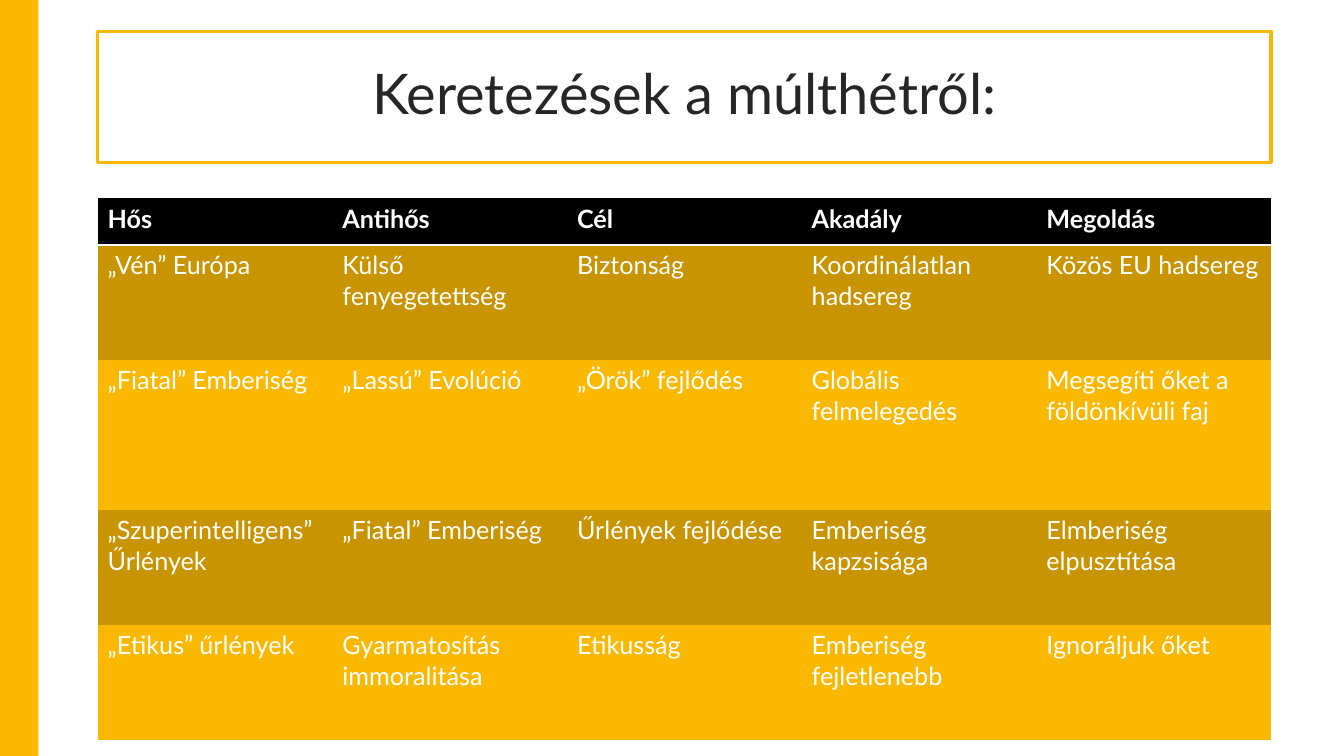
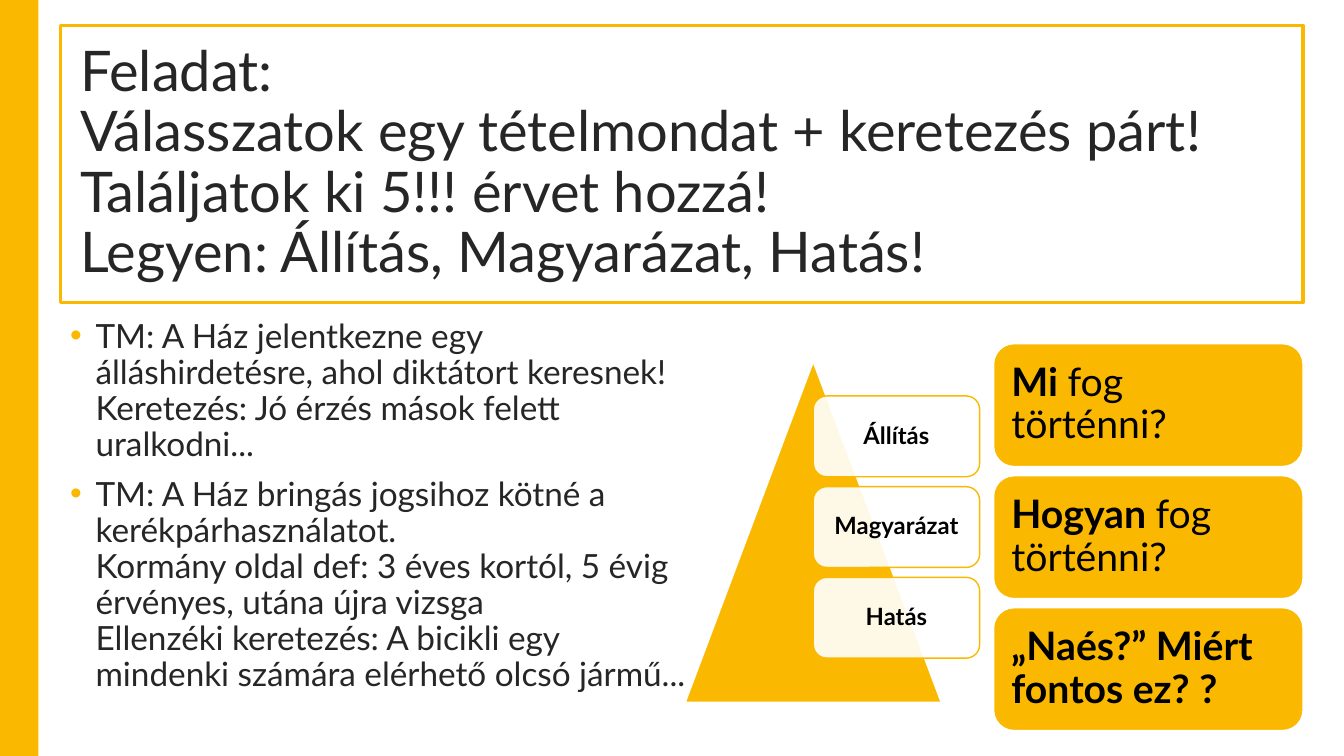
"""Build two debate-class slides: a framing table and an argument exercise."""
import pptx
import pptx.dml.color
import pptx.enum.shapes
import pptx.enum.text
import pptx.oxml
import pptx.oxml.ns
import pptx.util
from lxml import etree

Cm = pptx.util.Cm
Pt = pptx.util.Pt
ALIGN = pptx.enum.text.PP_ALIGN
ANCHOR = pptx.enum.text.MSO_ANCHOR
SHAPE = pptx.enum.shapes.MSO_SHAPE

GOLD, DARK_GOLD, INK = "FAB900", "C89400", "262626"
BLACK, WHITE = "000000", "FFFFFF"
FONT = "Lato"
PLAIN_TABLE_STYLE = "{2D5ABB26-0587-4C30-8999-92F81FD0307C}"

FRAMINGS = [
    ["Hős", "Antihős", "Cél", "Akadály", "Megoldás"],
    ["„Vén” Európa", "Külső fenyegetettség", "Biztonság",
     "Koordinálatlan hadsereg", "Közös EU hadsereg"],
    ["„Fiatal” Emberiség", "„Lassú” Evolúció", "„Örök” fejlődés",
     "Globális felmelegedés", "Megsegíti őket a földönkívüli faj"],
    ["„Szuperintelligens” Űrlények", "„Fiatal” Emberiség", "Űrlények fejlődése",
     "Emberiség kapzsisága", "Elmberiség elpusztítása"],
    ["„Etikus” űrlények", "Gyarmatosítás immoralitása", "Etikusság",
     "Emberiség fejletlenebb", "Ignoráljuk őket"],
]
ROW_HEIGHTS = [1.17, 2.9, 3.78, 2.9, 2.9]

TASK = ("Feladat: \nVálasszatok egy tételmondat + keretezés párt! "
        "Találjatok ki 5!!! érvet hozzá! \nLegyen: Állítás, Magyarázat, Hatás!")
MOTIONS = [
    "TM: A Ház jelentkezne egy álláshirdetésre, ahol diktátort keresnek! \n"
    "Keretezés: Jó érzés mások felett uralkodni...",
    "TM: A Ház bringás jogsihoz kötné a kerékpárhasználatot. \n"
    "Kormány oldal def: 3 éves kortól, 5 évig érvényes, utána újra vizsga\n"
    "Ellenzéki keretezés: A bicikli egy mindenki számára elérhető olcsó jármű...",
]
ARGUMENT_STEPS = ["Állítás", "Magyarázat", "Hatás"]
QUESTIONS = [("Mi ", "fog történni?"), ("Hogyan ", "fog történni?"),
             ("„Naés?” Miért fontos ez? ?", "")]


def rgb(hex_code):
    """Return the colour for a hex string."""
    return pptx.dml.color.RGBColor.from_string(hex_code)


def add_xml(parent, markup, index=None):
    """Insert a DrawingML fragment into parent."""
    tag, rest = markup.split(" ", 1)
    element = pptx.oxml.parse_xml(f"<{tag} {pptx.oxml.ns.nsdecls('a')} {rest}")
    parent.insert(len(parent) if index is None else index, element)


def place(part, box):
    """Move a part to a box of left, top, width and height in cm."""
    part.left, part.top, part.width, part.height = map(Cm, box)


def paint(part, fill=None, line=None, width=1):
    """Set the fill and outline of a part."""
    if fill:
        part.fill.solid()
        part.fill.fore_color.rgb = rgb(fill)
    if line:
        part.line.color.rgb = rgb(line)
        part.line.width = Pt(width)
    else:
        part.line.fill.background()


def style_font(font, size, color, bold=False):
    """Apply the deck font with a size, colour and weight."""
    font.name, font.size, font.bold = FONT, Pt(size), bold
    font.color.rgb = rgb(color)


def set_frame(frame, inset, anchor=ANCHOR.MIDDLE):
    """Wrap a text frame with equal insets and no autofit."""
    frame.word_wrap = True
    frame.auto_size = pptx.enum.text.MSO_AUTO_SIZE.NONE
    frame.vertical_anchor = anchor
    frame.margin_left = frame.margin_right = Cm(inset)
    frame.margin_top = frame.margin_bottom = Cm(inset)


def add_preset(slide, kind, box, fill, line=None):
    """Add a painted preset shape without shadow."""
    shape = slide.shapes.add_shape(kind, *map(Cm, box))
    shape.shadow.inherit = False
    paint(shape, fill, line)
    return shape


def stack(box, count, gap):
    """Split a box into equal boxes, one below another."""
    left, top, width, height = box
    part = (height - gap * (count - 1)) / count
    return [(left, top + i * (part + gap), width, part) for i in range(count)]


def add_master_band(slide):
    """Put the gold side band on the slide master."""
    band = add_preset(slide, SHAPE.RECTANGLE, (-0.05, 0, 1.02, 19.1), GOLD)
    slide.slide_layout.slide_master.shapes.element.insert(2, band.element)


def add_title(slide, box, text, align):
    """Fill the title placeholder and frame it in gold."""
    title = slide.shapes.title
    place(title, box)
    paint(title, line=GOLD, width=2.5)
    set_frame(title.text_frame, 0.5)
    paragraph = title.text_frame.paragraphs[0]
    paragraph.text = text
    paragraph.alignment = align
    paragraph.line_spacing = 0.9
    style_font(paragraph.font, 40, INK)


def add_framing_table(slide, box):
    """Add the table of framings with alternating gold rows."""
    frame = slide.shapes.add_table(len(FRAMINGS), len(FRAMINGS[0]), *map(Cm, box))
    table = frame.table
    style = table._tbl.tblPr.find(pptx.oxml.ns.qn("a:tableStyleId"))
    style.text = PLAIN_TABLE_STYLE
    for i, (row, height) in enumerate(zip(FRAMINGS, ROW_HEIGHTS)):
        table.rows[i].height = Cm(height)
        fill = BLACK if i == 0 else (GOLD, DARK_GOLD)[i % 2]
        for j, text in enumerate(row):
            cell = table.cell(i, j)
            cell.fill.solid()
            cell.fill.fore_color.rgb = rgb(fill)
            paragraph = cell.text_frame.paragraphs[0]
            paragraph.text = text
            style_font(paragraph.font, 18, WHITE, bold=i == 0)
            if i == 0:
                add_xml(cell._tc.tcPr, f'a:lnB w="{Pt(2)}"><a:solidFill>'
                        f'<a:srgbClr val="{WHITE}"/></a:solidFill></a:lnB>', 0)


def add_motions(slide, box):
    """Fill the body placeholder with the bulleted motions."""
    body = slide.placeholders[1]
    place(body, box)
    frame = body.text_frame
    set_frame(frame, 0.25, ANCHOR.TOP)
    frame.margin_top = frame.margin_bottom = Cm(0.13)
    for i, motion in enumerate(MOTIONS):
        paragraph = frame.add_paragraph() if i else frame.paragraphs[0]
        paragraph.text = motion
        paragraph.line_spacing = 0.9
        paragraph.space_before = Pt(10)
        properties = paragraph._p.get_or_add_pPr()
        properties.set("marL", str(Cm(0.64)))
        properties.set("indent", str(-Cm(0.64)))
        add_xml(properties, f'a:buClr ><a:srgbClr val="{GOLD}"/></a:buClr>')
        add_xml(properties, 'a:buFont typeface="Arial"/>')
        add_xml(properties, 'a:buChar char="•"/>')
        style_font(paragraph.font, 23.8, INK)


def add_card(slide, box, colors, inset, align, size, bold_text, plain_text=""):
    """Add a rounded card whose text starts bold and may end plain."""
    card = add_preset(slide, SHAPE.ROUNDED_RECTANGLE, box, *colors)
    set_frame(card.text_frame, inset)
    paragraph = card.text_frame.paragraphs[0]
    paragraph.alignment = align
    paragraph.line_spacing = 0.9
    style_font(paragraph.font, size, BLACK, bold=True)
    paragraph.add_run().text = bold_text
    if plain_text:
        plain = paragraph.add_run()
        plain.text = plain_text
        plain.font.bold = False
    return card


def add_argument_pyramid(slide, box):
    """Add a triangle with translucent step cards on its right half."""
    left, top, width, height = box
    add_preset(slide, SHAPE.ISOSCELES_TRIANGLE, box, GOLD, WHITE)
    steps_box = (left + width / 2, top + 0.1 * height, 0.65 * width, 0.77 * height)
    for step, step_box in zip(ARGUMENT_STEPS, stack(steps_box, 3, 0.25)):
        card = add_card(slide, step_box, (WHITE, GOLD), 0.18, ALIGN.CENTER, 17, step)
        color = card.element.spPr.find(
            f"{pptx.oxml.ns.qn('a:solidFill')}/{pptx.oxml.ns.qn('a:srgbClr')}")
        etree.SubElement(color, pptx.oxml.ns.qn("a:alpha"), val="90000")


def add_questions(slide, box):
    """Add the column of gold question cards."""
    for (bold_text, plain_text), card_box in zip(QUESTIONS, stack(box, 3, 0.23)):
        add_card(slide, card_box, (GOLD, WHITE), 0.3, ALIGN.LEFT, 28,
                 bold_text, plain_text)


def build_framing_slide(deck):
    """Build the slide that reviews last week's framings."""
    slide = deck.slides.add_slide(deck.slide_layouts[5])
    add_master_band(slide)
    add_title(slide, (2.46, 0.79, 29.57, 3.3), "Keretezések a múlthétről:", ALIGN.CENTER)
    add_framing_table(slide, (2.46, 5, 29.57, sum(ROW_HEIGHTS)))


def build_task_slide(deck):
    """Build the slide that sets the argument exercise."""
    slide = deck.slides.add_slide(deck.slide_layouts[1])
    add_title(slide, (1.52, 0.64, 31.32, 6.98), TASK, ALIGN.LEFT)
    add_motions(slide, (1.52, 7.92, 16.15, 10.87))
    add_argument_pyramid(slide, (17.27, 9.12, 6.45, 8.58))
    add_questions(slide, (25.04, 8.66, 7.8, 9.75))


def main():
    """Build and save the deck."""
    deck = pptx.Presentation()
    deck.slide_width, deck.slide_height = Cm(33.87), Cm(19.05)
    build_framing_slide(deck)
    build_task_slide(deck)
    deck.save("out.pptx")


if __name__ == "__main__":
    main()
